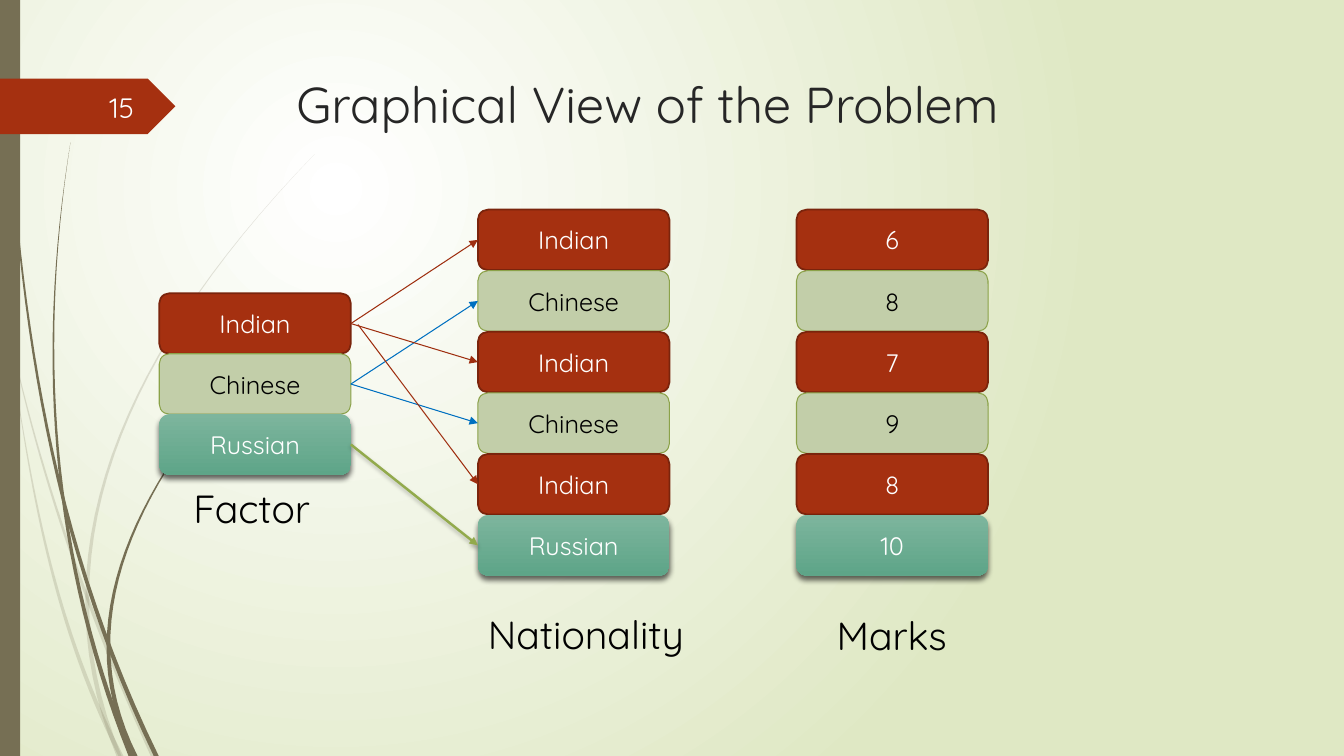
import pptx
import pptx.util
import pptx.dml.color
import pptx.enum.shapes
import pptx.enum.text
import pptx.oxml
import pptx.oxml.ns
from pptx.util import Inches

ALIGN = pptx.enum.text.PP_ALIGN
ANCHOR = pptx.enum.text.MSO_ANCHOR
FIT = pptx.enum.text.MSO_AUTO_SIZE
SHAPES = pptx.enum.shapes.MSO_SHAPE
NS = pptx.oxml.ns.nsdecls("a")
qn = pptx.oxml.ns.qn
BROWN, RED = "766F54", "A53010"
SHADOW = ('<a:outerShdw {} blurRad="{}" dist="{}" dir="5400000" algn="ctr" rotWithShape="0">'
          '<a:srgbClr val="000000"><a:alpha val="{}"/></a:srgbClr></a:outerShdw>')


def color(value):
    return pptx.dml.color.RGBColor.from_string(value)


def write(box, words, size, tint, align, anchor, wrap=True, fit=FIT.NONE):
    frame = box.text_frame
    frame.text = words
    for name, value in {"word_wrap": wrap, "auto_size": fit, "vertical_anchor": anchor}.items():
        setattr(frame, name, value)
    para = frame.paragraphs[0]
    para.alignment = align
    span = para.runs[0]
    for name, value in {"name": "Quicksand", "size": pptx.util.Pt(size)}.items():
        setattr(span.font, name, value)
    span.font.color.rgb = color(tint)


deck = pptx.Presentation()
deck.slide_width, deck.slide_height = Inches(13.33), Inches(7.5)
page = deck.slides.add_slide(deck.slide_layouts[5])

backdrop = page.background.fill
backdrop.gradient()
for stop, tint in zip(backdrop.gradient_stops, ["FFFFFF", "DFE8C4"]):
    stop.color.rgb = color(tint)
gradient = page.element.find(".//" + qn("a:gradFill"))
gradient.remove(gradient.find(qn("a:lin")))
gradient.append(pptx.oxml.parse_xml(
    f'<a:path {NS} path="circle"><a:fillToRect l="50000" t="50000" r="100000" b="100000"/></a:path>'))

foot_y, foot_width, steps = 7.5, 0.05, 30
grass = [
    {"opacity": 20, "tip_y": 2.82, "tip": 0, "upper": 0.36, "lower": 0.87, "foot": 1.52},
    {"opacity": 20, "tip_y": 3.5, "tip": 0.11, "upper": 0.33, "lower": 0.66, "foot": 1.2},
    {"opacity": 20, "tip_y": 1.53, "tip": 3.12, "upper": 1.58, "lower": 0.89, "foot": 1.18},
    {"opacity": 100, "tip_y": 0, "tip": 0.03, "upper": 0.2, "lower": 0.64, "foot": 1.55},
    {"opacity": 100, "tip_y": 1.41, "tip": 0.7, "upper": 0.53, "lower": 0.71, "foot": 1.3},
    {"opacity": 100, "tip_y": 3.44, "tip": 2.6, "upper": 1.57, "lower": 1.09, "foot": 1.34},
]
flat_shapes = []
for blade in grass:
    left_edge, right_edge = [], []
    for step in range(steps + 1):
        share = step / steps
        third = 3 * share
        middle = (blade["tip"] * (1 - third) * (2 - third) * (3 - third) / 6
                  + blade["upper"] * third * (2 - third) * (3 - third) / 2
                  + blade["lower"] * third * (third - 1) * (3 - third) / 2
                  + blade["foot"] * third * (third - 1) * (third - 2) / 6)
        y = blade["tip_y"] + share * (foot_y - blade["tip_y"])
        half = share * foot_width / 2
        left_edge.append((Inches(middle - half), Inches(y)))
        right_edge.append((Inches(middle + half), Inches(y)))
    outline = left_edge + right_edge[::-1]
    builder = page.shapes.build_freeform(*outline[0])
    builder.add_line_segments(outline[1:])
    flat_shapes.append((builder.convert_to_shape(), BROWN, blade["opacity"]))

side_bar = page.shapes.add_shape(SHAPES.RECTANGLE, 0, 0, Inches(0.2), Inches(7.5))
number_tag = page.shapes.add_shape(SHAPES.PENTAGON, 0, Inches(0.78), Inches(1.74), Inches(0.55))
flat_shapes += [(side_bar, BROWN, 100), (number_tag, RED, 100)]
for shape, tint, opacity in flat_shapes:
    shape.shadow.inherit = False
    shape.fill.solid()
    shape.fill.fore_color.rgb = color(tint)
    shape.line.fill.background()
    if opacity < 100:
        shape.element.spPr.find(".//" + qn("a:srgbClr")).append(
            pptx.oxml.parse_xml(f'<a:alpha {NS} val="{opacity * 1000}"/>'))

title = page.shapes.title
for name, value in {"left": 2.84, "top": 0.68, "width": 9.75, "height": 1.4}.items():
    setattr(title, name, Inches(value))
write(title, "Graphical View of the Problem", 36, "262626", ALIGN.LEFT, ANCHOR.TOP)

styles = {
    "Indian": {"fills": [RED], "edge": "7A240C", "weight": 1.25, "ink": "FFFFFF"},
    "Chinese": {"fills": ["C2CEA9"], "edge": "8BA249", "weight": 0.75, "ink": "000000"},
    "Russian": {"fills": ["7DB59D", "5EA588"], "ink": "FFFFFF"},
}
levels = list(styles)
people = ["Indian", "Chinese", "Indian", "Chinese", "Indian", "Russian"]
scores = ["6", "8", "7", "9", "8", "10"]
columns = {
    "Nationality": {"left": 4.74, "top": 2.08, "last_top": 5.11, "kinds": people, "labels": people},
    "Marks": {"left": 7.9, "top": 2.08, "last_top": 5.11, "kinds": people, "labels": scores},
    "Factor": {"left": 1.58, "top": 2.91, "last_top": 4.11, "kinds": levels, "labels": levels},
}
boxes = {}
for heading, column in columns.items():
    boxes[heading] = []
    pitch = (column["last_top"] - column["top"]) / (len(column["kinds"]) - 1)
    for row, (kind, label) in enumerate(zip(column["kinds"], column["labels"])):
        style = styles[kind]
        box = page.shapes.add_shape(SHAPES.ROUNDED_RECTANGLE, Inches(column["left"]),
                                    Inches(column["top"] + row * pitch), Inches(1.9), Inches(0.6))
        box.shadow.inherit = False
        if "edge" in style:
            box.fill.solid()
            box.fill.fore_color.rgb = color(style["fills"][0])
            box.line.color.rgb = color(style["edge"])
            box.line.width = pptx.util.Pt(style["weight"])
        else:
            box.fill.gradient()
            box.fill.gradient_angle = 270
            for stop, tint in zip(box.fill.gradient_stops, style["fills"]):
                stop.color.rgb = color(tint)
            box.line.fill.background()
            box.element.spPr.find(qn("a:effectLst")).append(
                pptx.oxml.parse_xml(SHADOW.format(NS, 50800, 38100, 60000)))
        write(box, label, 18, style["ink"], ALIGN.CENTER, ANCHOR.MIDDLE)
        boxes[heading].append(box)

arrow_styles = {"Indian": ("9E2E0F", 0.75), "Chinese": ("0070C0", 0.75), "Russian": ("92AA4C", 1.75)}
last_indian = max(row for row, kind in enumerate(people) if kind == "Indian")
for row, kind in enumerate(people):
    tint, weight = arrow_styles[kind]
    arrow = page.shapes.add_connector(pptx.enum.shapes.MSO_CONNECTOR.STRAIGHT,
                                      Inches(3.55), Inches(3.22), Inches(4.74), Inches(4.81))
    if row != last_indian:
        arrow.begin_connect(boxes["Factor"][levels.index(kind)], 3)
    arrow.end_connect(boxes["Nationality"][row], 1)
    arrow.line.color.rgb = color(tint)
    arrow.line.width = pptx.util.Pt(weight)
    arrow.element.spPr.find(qn("a:ln")).append(pptx.oxml.parse_xml(f'<a:tailEnd {NS} type="triangle"/>'))
    effects = pptx.oxml.parse_xml(f"<a:effectLst {NS}/>")
    if kind == "Russian":
        effects.append(pptx.oxml.parse_xml(SHADOW.format(NS, 38100, 25400, 25000)))
    arrow.element.spPr.append(effects)

captions = [("Nationality", 4.74, 6.01, 2.24), ("Marks", 8.2, 6.02, 1.3), ("Factor", 1.82, 4.76, 1.42)]
for words, left, top, width in captions:
    caption = page.shapes.add_textbox(Inches(left), Inches(top), Inches(width), Inches(0.57))
    write(caption, words, 28, "000000", ALIGN.LEFT, ANCHOR.TOP, False, FIT.SHAPE_TO_FIT_TEXT)

page_number = page.shapes.add_textbox(Inches(0.58), Inches(0.86), Inches(0.85), Inches(0.4))
write(page_number, "15", 20, "FEFFFF", ALIGN.RIGHT, ANCHOR.MIDDLE)

deck.save("out.pptx")
